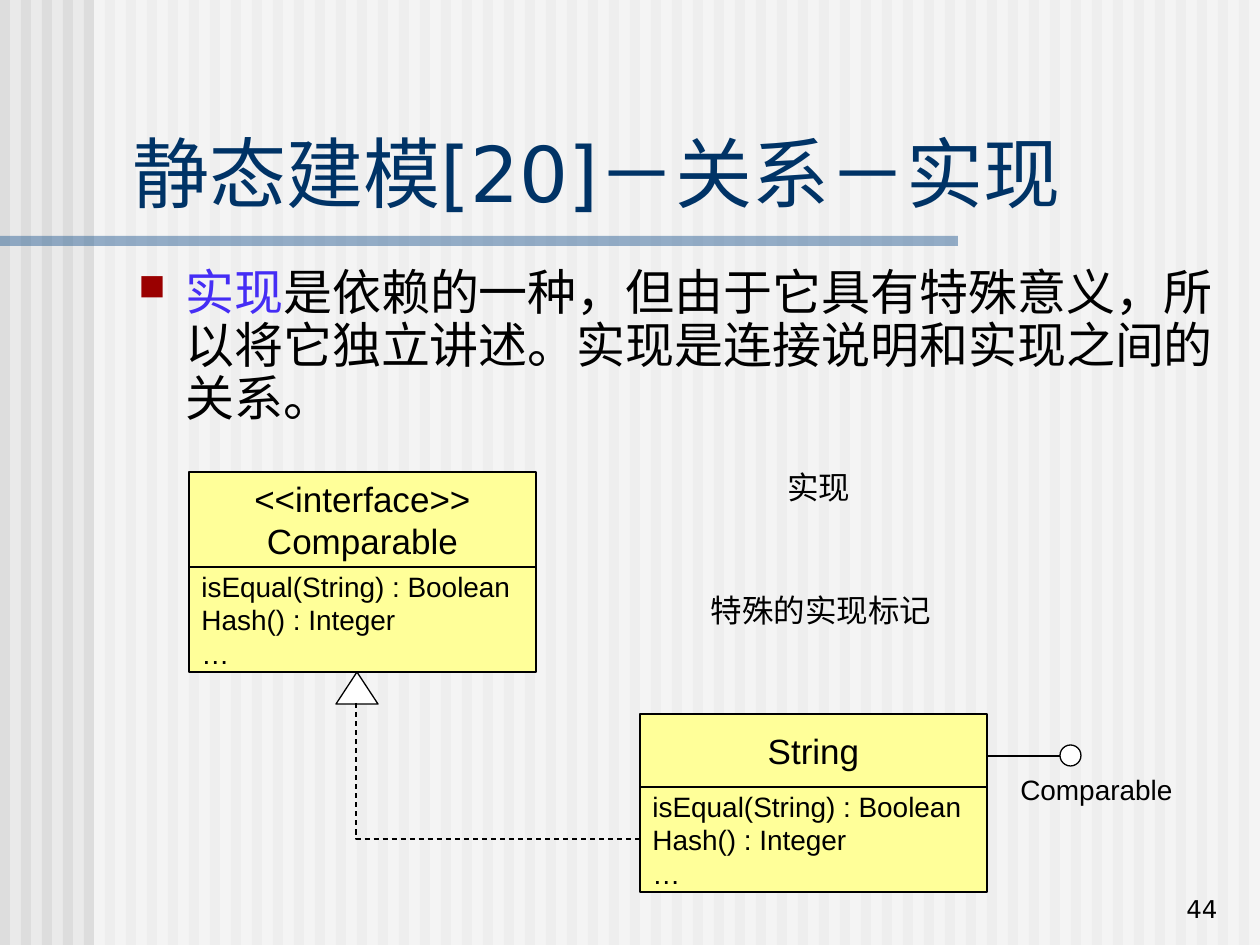
from lxml.etree import SubElement
from pptx import Presentation
from pptx.dml.color import RGBColor
from pptx.enum.dml import MSO_LINE
from pptx.enum.shapes import MSO_CONNECTOR, MSO_SHAPE
from pptx.enum.text import MSO_ANCHOR, PP_ALIGN
from pptx.oxml.ns import qn
from pptx.util import Emu, Pt

SCALE = 914400 / 126
OPERATIONS = ["isEqual(String) : Boolean", "Hash() : Integer", "…"]


def px(value):
    """Turn pixels into EMU."""
    return Emu(round(value * SCALE))


def color(code):
    """Turn a hex string into a colour."""
    return RGBColor.from_string(code)


class Sketch:
    """Hold the style and the current page, and draw each kind of element."""

    sans, arial = "DejaVu Sans", "Arial"
    ink, paper, note = "000000", "FFFFFF", "FFFF99"

    def __init__(self, page):
        """Start drawing on a page."""
        self.page = page

    def shape(self, kind, left, top, width, height, fill, line=None, alpha=None):
        """Draw a filled preset shape, with an outline if a line width is given."""
        shape = self.page.shapes.add_shape(kind, px(left), px(top), px(width), px(height))
        shape.shadow.inherit = False
        shape.fill.solid()
        shape.fill.fore_color.rgb = color(fill)
        if alpha:
            tint = shape._element.spPr.find(qn("a:solidFill"))[0]
            SubElement(tint, qn("a:alpha")).set("val", str(alpha * 1000))
        if line:
            shape.line.color.rgb = color(self.ink)
            shape.line.width = Pt(line)
        else:
            shape.line.fill.background()
        return shape

    def fill_text(self, box, lines, size, font=None, align=PP_ALIGN.LEFT,
                  anchor=MSO_ANCHOR.TOP, tint=None):
        """Put one paragraph per line into a box."""
        frame = box.text_frame
        frame.word_wrap = True
        frame.vertical_anchor = anchor
        for index, text in enumerate(lines):
            para = frame.add_paragraph() if index else frame.paragraphs[0]
            para.text = text
            para.alignment = align
            para.font.size = Pt(size)
            para.font.name = font or self.arial
            para.font.color.rgb = color(tint or self.ink)

    def text(self, left, top, width, height, line, size, **style):
        """Add a text box with one paragraph."""
        box = self.page.shapes.add_textbox(px(left), px(top), px(width), px(height))
        self.fill_text(box, [line], size, **style)

    def bullet(self, left, top, width, height, spans, size):
        """Add a bulleted paragraph of coloured spans."""
        box = self.page.shapes.add_textbox(px(left), px(top), px(width), px(height))
        box.text_frame.word_wrap = True
        para = box.text_frame.paragraphs[0]
        props = para._p.get_or_add_pPr()
        props.set("marL", str(px(47)))
        props.set("indent", str(px(-47)))
        marker = SubElement(props, qn("a:buClr"))
        SubElement(marker, qn("a:srgbClr")).set("val", "9A0000")
        SubElement(props, qn("a:buSzPct")).set("val", "75000")
        SubElement(props, qn("a:buChar")).set("char", "■")
        para.line_spacing = 0.9
        para.font.size = Pt(size)
        para.font.name = self.sans
        for text, tint in spans:
            span = para.add_run()
            span.text = text
            span.font.color.rgb = color(tint)

    def class_box(self, left, top, width, head_height, name_lines):
        """Draw a class with a name part above its operations."""
        body_height = 105
        name = self.shape(MSO_SHAPE.RECTANGLE, left, top, width, head_height, self.note, 1)
        self.fill_text(name, name_lines, 20, align=PP_ALIGN.CENTER, anchor=MSO_ANCHOR.MIDDLE)
        body = self.shape(MSO_SHAPE.RECTANGLE, left, top + head_height, width, body_height,
                          self.note, 1)
        self.fill_text(body, OPERATIONS, 16, anchor=MSO_ANCHOR.MIDDLE)

    def line(self, start, end, kind=MSO_CONNECTOR.STRAIGHT):
        """Draw a thin connector."""
        link = self.page.shapes.add_connector(kind, *map(px, start + end))
        link.line.color.rgb = color(self.ink)
        link.line.width = Pt(0.75)
        SubElement(link._element.spPr, qn("a:effectLst"))
        return link

    def dashed_corner(self, start, end):
        """Draw a dashed connector that goes down and then right."""
        middle_x, middle_y = (start[0] + end[0]) // 2, (start[1] + end[1]) // 2
        half_x, half_y = (end[1] - start[1]) // 2, (end[0] - start[0]) // 2
        link = self.line((middle_x - half_x, middle_y - half_y),
                         (middle_x + half_x, middle_y + half_y), MSO_CONNECTOR.ELBOW)
        link.line.dash_style = MSO_LINE.DASH
        props = link._element.spPr
        props.find(qn("a:prstGeom")).set("prst", "bentConnector2")
        props.find(qn("a:xfrm")).set("rot", "16200000")
        props.find(qn("a:xfrm")).set("flipH", "1")


def main():
    """Build the slide about realization."""
    deck = Presentation()
    deck.slide_width, deck.slide_height = px(1260), px(945)
    page = deck.slides.add_slide(deck.slide_layouts[6])
    page.background.fill.solid()
    page.background.fill.fore_color.rgb = color("EAEAEA")
    sketch = Sketch(page)

    for left in range(0, 1260, 21):
        sketch.shape(MSO_SHAPE.RECTANGLE, left, 0, 10, 945, "DDDDDD")
    sketch.shape(MSO_SHAPE.RECTANGLE, 94, 0, 1166, 945, sketch.paper, alpha=50)
    sketch.shape(MSO_SHAPE.RECTANGLE, 0, 236, 958, 10, "336699", alpha=50)

    sketch.text(120, 118, 1125, 106, "静态建模[20]－关系－实现", 44, font=sketch.sans,
                anchor=MSO_ANCHOR.BOTTOM, tint="003366")
    sketch.bullet(126, 262, 1118, 179, [
        ("实现", "452DF5"),
        ("是依赖的一种，但由于它具有特殊意义，所以将它独立讲述。实现是连接说明和实现之间的关系。",
         sketch.ink),
    ], 28)

    sketch.class_box(640, 714, 347, 73, ["String"])
    sketch.line((987, 756), (1060, 756))
    sketch.shape(MSO_SHAPE.OVAL, 1060, 745, 21, 21, sketch.paper, 0.75)
    sketch.text(1008, 766, 199, 47, "Comparable", 16)

    sketch.class_box(189, 472, 347, 95, ["<<interface>>", "Comparable"])
    sketch.shape(MSO_SHAPE.ISOSCELES_TRIANGLE, 336, 672, 42, 32, sketch.paper, 0.75)
    sketch.dashed_corner((356, 703), (640, 839))

    sketch.text(761, 462, 116, 50, "实现", 18, align=PP_ALIGN.CENTER)
    sketch.text(695, 585, 252, 50, "特殊的实现标记", 18, align=PP_ALIGN.CENTER)
    sketch.text(968, 867, 262, 63, "44", 14, font=sketch.sans, align=PP_ALIGN.RIGHT,
                anchor=MSO_ANCHOR.BOTTOM)
    deck.save("out.pptx")


if __name__ == "__main__":
    main()
